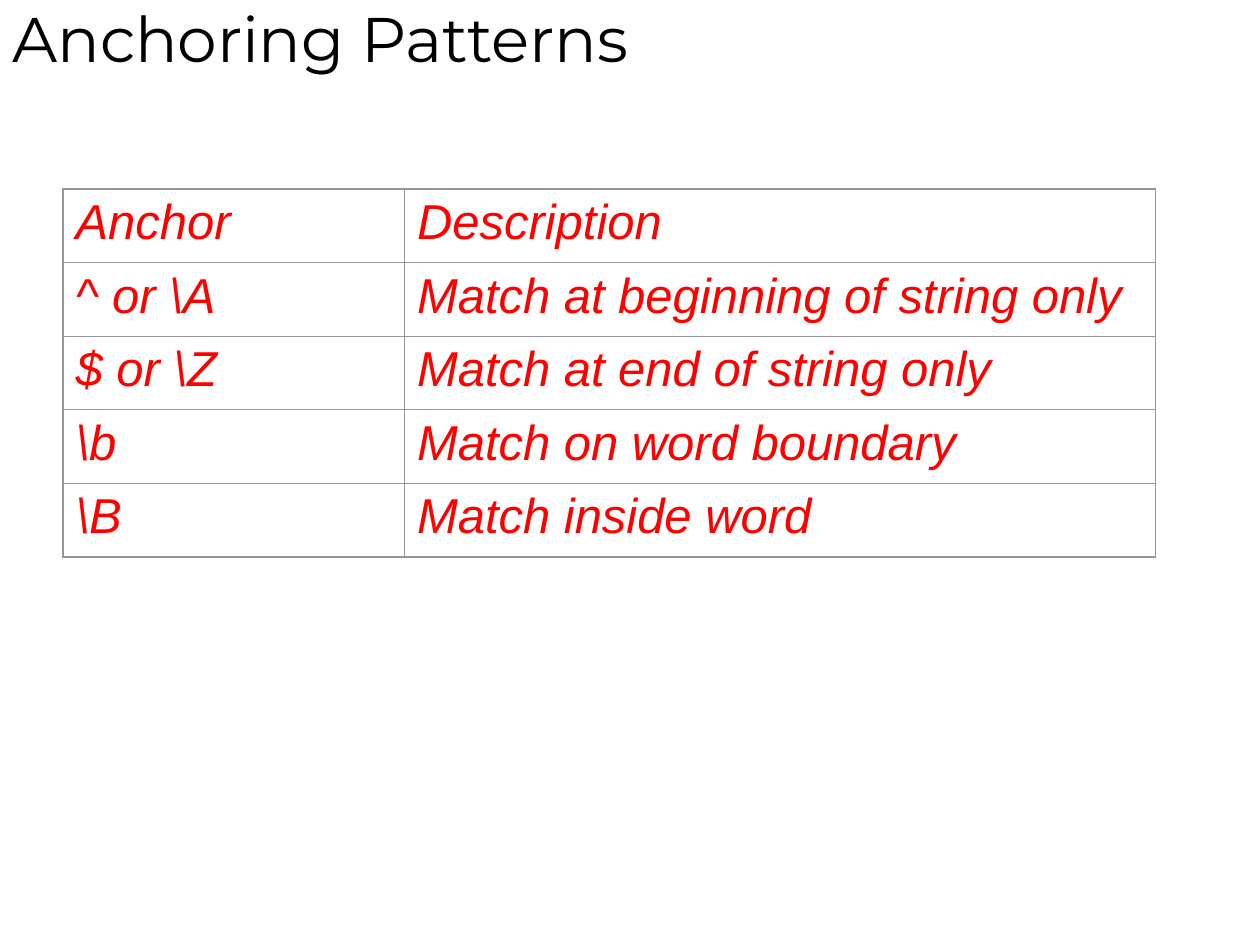
from lxml import etree
from pptx import Presentation
from pptx.dml.color import RGBColor
from pptx.enum import text
from pptx.oxml.ns import qn
from pptx.util import Inches, Pt

BLACK = RGBColor(0x00, 0x00, 0x00)
RED = RGBColor(0xFF, 0x00, 0x00)
GREY = RGBColor(0x96, 0x96, 0x96)
THIN, THICK = Pt(0.45), Pt(1.08)

WIDTHS = (2.71, 5.96)
HEIGHT = 2.92
ROWS = (
    ("Anchor", "Description"),
    ("^ or \\A", "Match at beginning of string only"),
    ("$ or \\Z", "Match at end of string only"),
    ("\\b", "Match on word boundary"),
    ("\\B", "Match inside word"),
)


def style(frame, face, size, color, italic=False):
    font = frame.paragraphs[0].runs[0].font
    font.name, font.size, font.italic = face, Pt(size), italic
    font.color.rgb = color


def add_title(slide, words):
    box = slide.shapes.add_textbox(Inches(0), Inches(-0.08), Inches(10), Inches(0.75))
    frame = box.text_frame
    frame.word_wrap = True
    frame.vertical_anchor = text.MSO_ANCHOR.MIDDLE
    frame.text = words
    style(frame, "Montserrat", 36, BLACK)


def set_edge(cell, side, width):
    """Draw one cell border; side is L, R, T or B."""
    line = etree.SubElement(cell._tc.get_or_add_tcPr(), qn(f"a:ln{side}"), w=str(width))
    fill = etree.SubElement(line, qn("a:solidFill"))
    etree.SubElement(fill, qn("a:srgbClr"), val=str(GREY))


def add_grid(slide, rows):
    count, cols = len(rows), len(WIDTHS)
    table = slide.shapes.add_table(
        count, cols, Inches(0.5), Inches(1.5), Inches(sum(WIDTHS)), Inches(HEIGHT)
    ).table
    table.first_row = table.horz_banding = False
    for col, width in zip(table.columns, WIDTHS):
        col.width = Inches(width)
    for r, row in enumerate(rows):
        table.rows[r].height = Inches(HEIGHT / count)
        for c, words in enumerate(row):
            cell = table.cell(r, c)
            cell.text_frame.text = words
            style(cell.text_frame, "Arial", 28, RED, italic=True)
            # Only the outer frame of the table is thick.
            outer = {"L": c == 0, "R": c == cols - 1, "T": r == 0, "B": r == count - 1}
            for side, edge in outer.items():
                set_edge(cell, side, THICK if edge else THIN)
            cell.fill.background()


def main():
    deck = Presentation()
    deck.slide_width, deck.slide_height = Inches(10), Inches(7.5)
    slide = deck.slides.add_slide(deck.slide_layouts[6])
    add_title(slide, "Anchoring Patterns")
    add_grid(slide, ROWS)
    deck.save("out.pptx")


if __name__ == "__main__":
    main()
